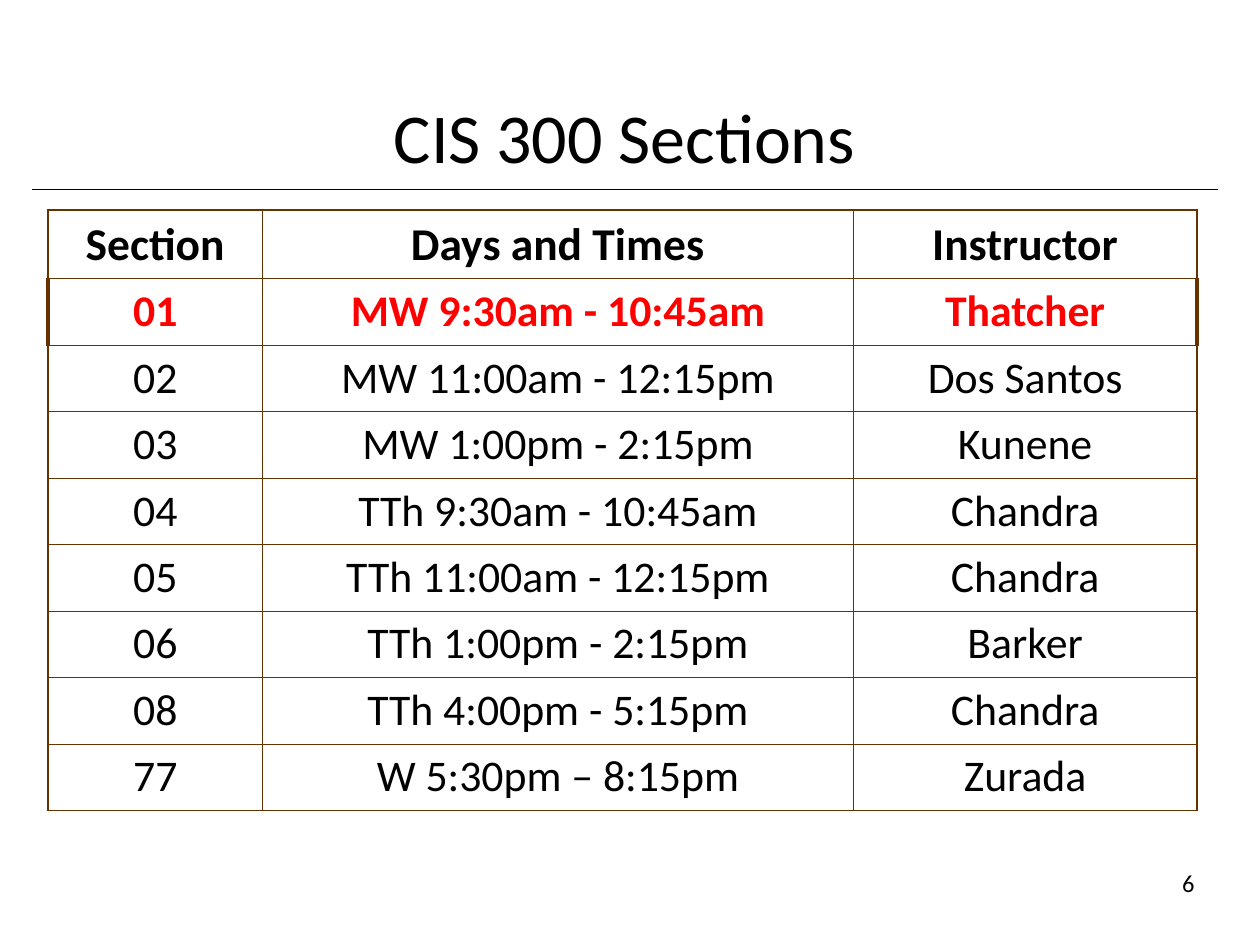
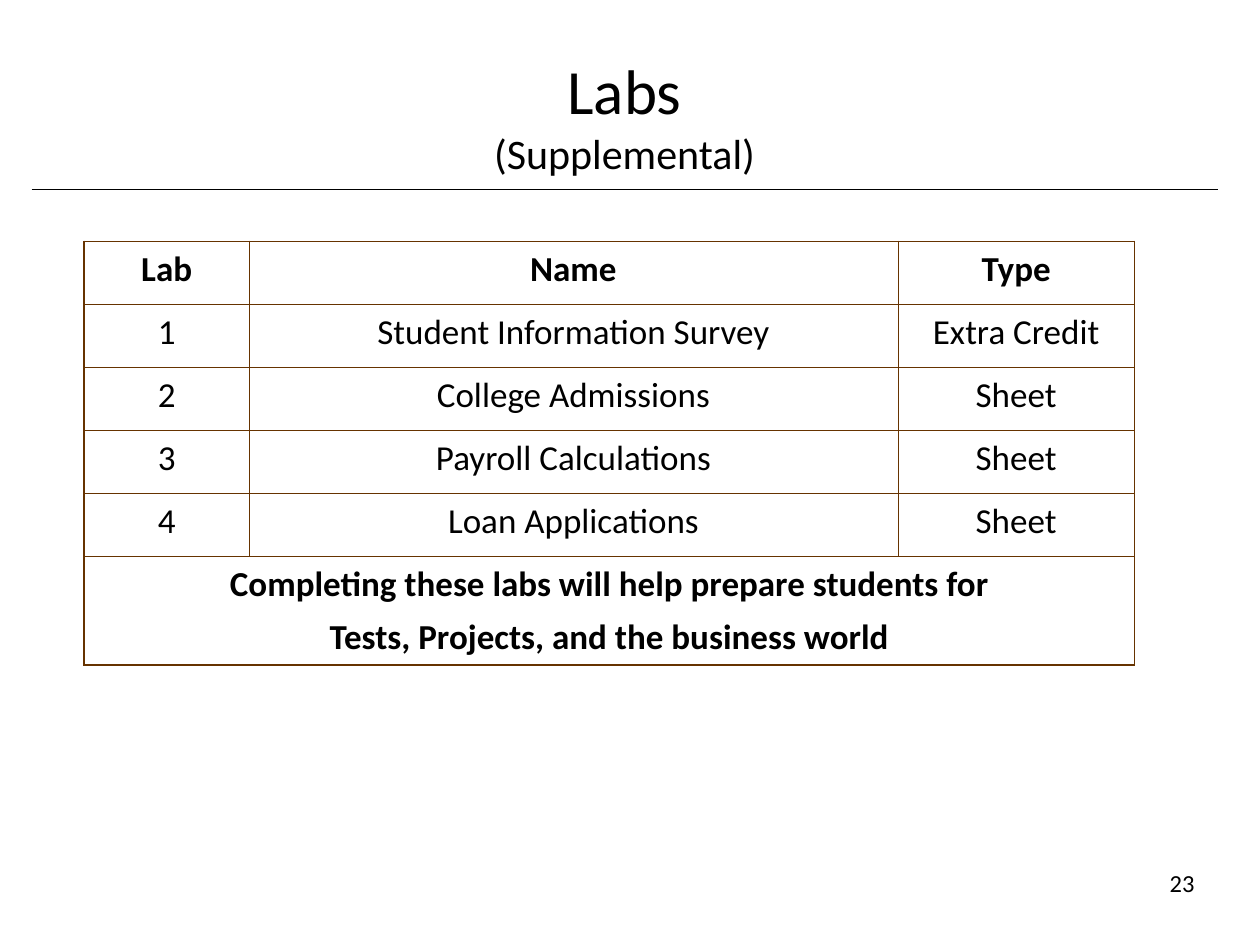
from copy import deepcopy
from dataclasses import dataclass

from lxml import etree
from pptx import Presentation
from pptx import util as u
from pptx.dml import color
from pptx.enum import shapes, text
from pptx.oxml import ns


@dataclass(frozen=True)
class Theme:
    font: str = "Calibri"
    ink: str = "000000"
    accent: str = "FF0000"
    border: str = "663300"
    paper: str = "FFFFFF"
    number_size: float = 14
    thin: float = 0.45
    medium: float = 1.08
    thick: float = 2.21
    rule: float = 0.5


@dataclass(frozen=True)
class RowStyle:
    size: float
    bold: bool = False
    colour: str = Theme.ink
    side: float = Theme.medium


class Deck:
    def __init__(self, theme):
        self.theme = theme
        self.prs = Presentation()
        self.prs.slide_width, self.prs.slide_height = u.Cm(25.4), u.Cm(19.05)
        self.s = None

    def add_slide(self, number, *title):
        self.s = self.prs.slides.add_slide(self.prs.slide_layouts[5])
        self.rule()
        self.number(number)
        self.title(*title)

    def run(self, p, words, size, bold=False, colour=Theme.ink):
        r = p.add_run()
        r.text = words
        r.font.name = self.theme.font
        r.font.size = u.Pt(size)
        r.font.bold = bold
        r.font.color.rgb = color.RGBColor.from_string(colour)
        return r

    def rule(self):
        line = self.s.shapes.add_connector(
            shapes.MSO_CONNECTOR.STRAIGHT, u.Cm(0.64), u.Cm(3.81), u.Cm(24.56), u.Cm(3.81))
        line.line.color.rgb = color.RGBColor.from_string(self.theme.ink)
        line.line.width = u.Pt(self.theme.rule)
        etree.SubElement(line._element.spPr, ns.qn("a:effectLst"))

    def number(self, number):
        sp = self.s.shapes.add_textbox(u.Cm(19.05), u.Cm(17.15), u.Cm(5.28), u.Cm(1.27))
        tf = sp.text_frame
        tf.word_wrap = True
        tf.vertical_anchor = text.MSO_ANCHOR.MIDDLE
        p = tf.paragraphs[0]
        p.alignment = text.PP_ALIGN.RIGHT
        self.run(p, str(number), self.theme.number_size)

    def title(self, *lines):
        sp = self.s.shapes.title
        sp.left, sp.top, sp.width, sp.height = u.Cm(0.84), u.Cm(0.64), u.Cm(23.5), u.Cm(3.07)
        tf = sp.text_frame
        tf.auto_size = text.MSO_AUTO_SIZE.NONE
        tf.vertical_anchor = text.MSO_ANCHOR.BOTTOM
        p = tf.paragraphs[0]
        p.alignment = text.PP_ALIGN.CENTER
        r = None
        for words, size in lines:
            if r is not None:
                p.add_line_break()
                p._p[-1].append(deepcopy(r._r.rPr))
            r = self.run(p, words, size)

    def table(self, left, top, widths, heights, rows, styles, bottom, gap=0):
        frame = self.s.shapes.add_table(
            len(rows), len(widths), u.Cm(left), u.Cm(top), u.Cm(sum(widths)), u.Cm(sum(heights)))
        tbl = frame.table
        tbl.first_row = tbl.horz_banding = False
        for column, width in zip(tbl.columns, widths):
            column.width = u.Cm(width)
        for i, (words, style) in enumerate(zip(rows, styles)):
            tbl.rows[i].height = u.Cm(heights[i])
            if len(words) == 1:
                tbl.cell(i, 0).merge(tbl.cell(i, len(widths) - 1))
            for j, content in enumerate(words):
                cell = tbl.cell(i, j)
                self.fill_cell(cell, content, style, gap)
                thin = self.theme.thin
                self.borders(
                    cell,
                    L=style.side if j == 0 else thin,
                    R=style.side if j == len(words) - 1 else thin,
                    T=self.theme.medium if i == 0 else thin,
                    B=bottom if i == len(rows) - 1 else thin)

    def fill_cell(self, cell, content, style, gap):
        cell.fill.solid()
        cell.fill.fore_color.rgb = color.RGBColor.from_string(self.theme.paper)
        tf = cell.text_frame
        for k, words in enumerate(content.split("\n")):
            p = tf.add_paragraph() if k else tf.paragraphs[0]
            p.alignment = text.PP_ALIGN.CENTER
            if k:
                p.space_before = u.Pt(gap)
            self.run(p, words, style.size, style.bold, style.colour)

    def borders(self, cell, **widths):
        tc_pr = cell._tc.get_or_add_tcPr()
        for k, (side, width) in enumerate(widths.items()):
            ln = etree.Element(ns.qn(f"a:ln{side}"), w=str(int(u.Pt(width))))
            fill = etree.SubElement(ln, ns.qn("a:solidFill"))
            etree.SubElement(fill, ns.qn("a:srgbClr"), val=self.theme.border)
            tc_pr.insert(k, ln)


def sections(deck):
    deck.add_slide(6, ("CIS 300 Sections", 40))
    rows = [
        ("Section", "Days and Times", "Instructor"),
        ("01", "MW 9:30am - 10:45am", "Thatcher"),
        ("02", "MW 11:00am - 12:15pm", "Dos Santos"),
        ("03", "MW 1:00pm - 2:15pm", "Kunene"),
        ("04", "TTh 9:30am - 10:45am", "Chandra"),
        ("05", "TTh 11:00am - 12:15pm", "Chandra"),
        ("06", "TTh 1:00pm - 2:15pm", "Barker"),
        ("08", "TTh 4:00pm - 5:15pm", "Chandra"),
        ("77", "W 5:30pm – 8:15pm", "Zurada"),
    ]
    current = RowStyle(25, True, deck.theme.accent, deck.theme.thick)
    styles = [RowStyle(26, True), current] + [RowStyle(25)] * (len(rows) - 2)
    heights = [1.38] + [1.34] * (len(rows) - 1)
    deck.table(0.97, 4.24, (4.32, 11.91, 6.93), heights, rows, styles, deck.theme.thin)


def labs(deck):
    deck.add_slide(23, ("Labs", 36), ("(Supplemental)", 24))
    rows = [
        ("Lab", "Name", "Type"),
        ("1", "Student Information Survey", "Extra Credit"),
        ("2", "College Admissions", "Sheet"),
        ("3", "Payroll Calculations", "Sheet"),
        ("4", "Loan Applications", "Sheet"),
        ("Completing these labs will help prepare students for\n"
         "Tests, Projects, and the business world",),
    ]
    strong = RowStyle(20, True)
    styles = [strong] + [RowStyle(20)] * (len(rows) - 2) + [strong]
    heights = [1.27] * (len(rows) - 1) + [2.18]
    deck.table(1.7, 4.87, (3.32, 13.08, 4.77), heights, rows, styles, deck.theme.medium, gap=6.2)


def main():
    deck = Deck(Theme())
    sections(deck)
    labs(deck)
    deck.prs.save("out.pptx")


if __name__ == "__main__":
    main()
